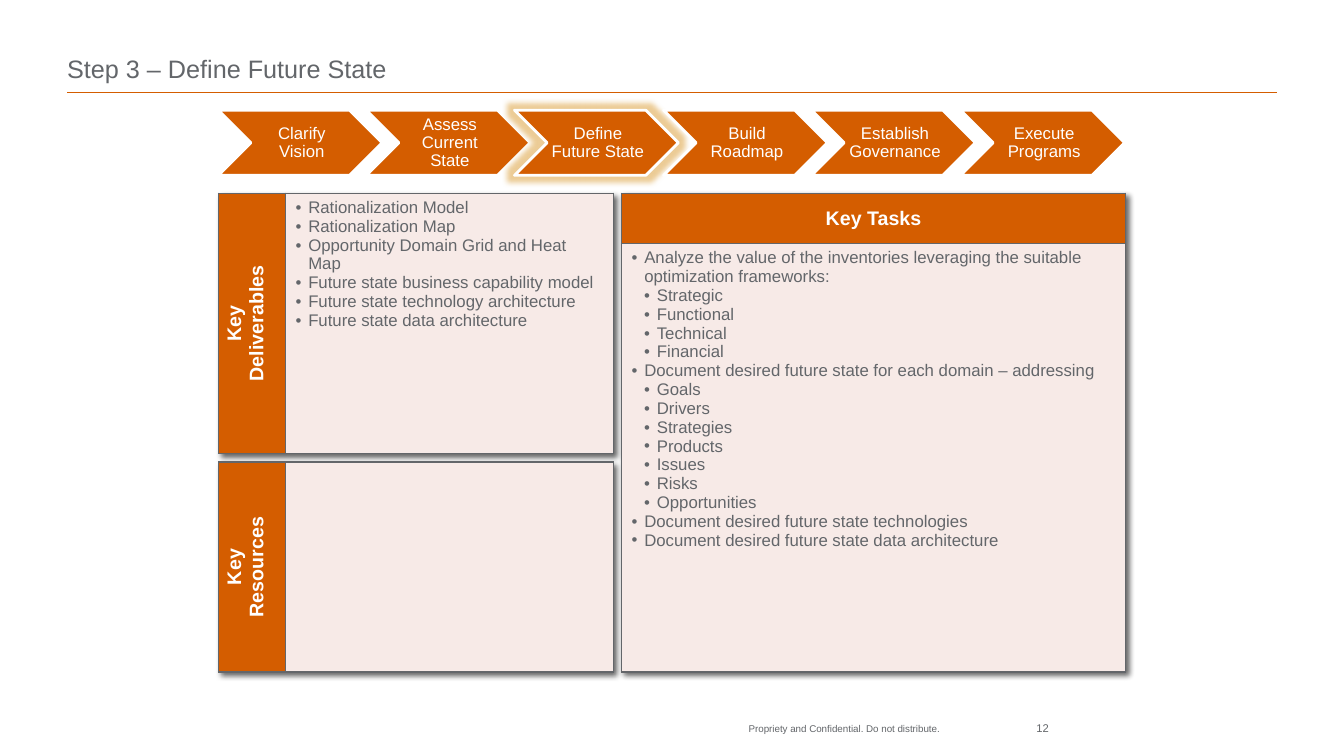
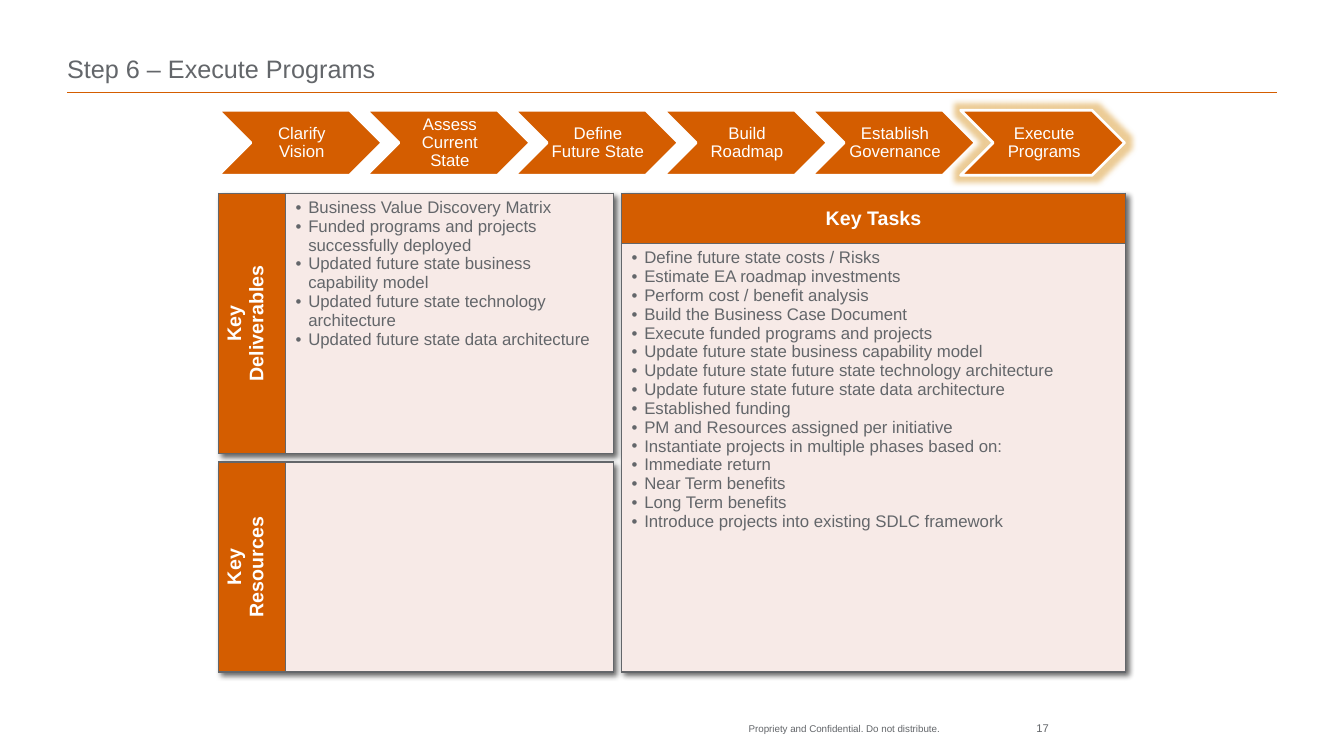
from dataclasses import dataclass

from lxml import etree
from pptx import Presentation
from pptx import util as u
from pptx.dml.color import RGBColor
from pptx.enum import shapes, text
from pptx.oxml import ns

SCALE = 9525
FONT = "Arial"
COLOURS = {
    "accent": "D45D00",
    "ink": "63666A",
    "panel": "F7EAE7",
    "white": "FFFFFF",
    "glow": "E0AA50",
    "shadow": "000000",
}
STAGES = (
    "Clarify Vision",
    "Assess Current State",
    "Define Future State",
    "Build Roadmap",
    "Establish Governance",
    "Execute Programs",
)
STAGES_LEFT, STAGES_TOP, STAGES_SPAN = 208, 105, 707
STAGE_WIDTH, STAGE_HEIGHT = 156, 62


@dataclass(frozen=True)
class Item:
    text: str
    level: int = 0


@dataclass(frozen=True)
class Step:
    number: int
    page_number: int
    deliverables: tuple[Item, ...]
    tasks: tuple[Item, ...]


@dataclass(frozen=True)
class Grid:
    left: int
    top: int
    columns: tuple[int, ...]
    rows: tuple[int, ...]


DELIVERABLES = Grid(208, 184, (64, 312), (248,))
RESOURCES = Grid(208, 440, (64, 312), (200,))
TASKS = Grid(592, 184, (480,), (48, 408))


def items(*lines: str, level: int = 0) -> tuple[Item, ...]:
    return tuple(Item(line, level) for line in lines)


STEPS = (
    Step(
        3,
        12,
        items(
            "Rationalization Model",
            "Rationalization Map",
            "Opportunity Domain Grid and Heat Map",
            "Future state business capability model",
            "Future state technology architecture",
            "Future state data architecture",
        ),
        items(
            "Analyze the value of the inventories leveraging the suitable "
            "optimization frameworks:"
        )
        + items("Strategic", "Functional", "Technical", "Financial", level=1)
        + items("Document desired future state for each domain – addressing")
        + items(
            "Goals", "Drivers", "Strategies", "Products", "Issues", "Risks",
            "Opportunities", level=1,
        )
        + items(
            "Document desired future state technologies",
            "Document desired future state data architecture",
        ),
    ),
    Step(
        6,
        17,
        items(
            "Business Value Discovery Matrix",
            "Funded programs and projects successfully deployed",
            "Updated future state business capability model",
            "Updated future state technology architecture",
            "Updated future state data architecture",
        ),
        items(
            "Define future state costs / Risks",
            "Estimate EA roadmap investments",
            "Perform cost / benefit analysis",
            "Build the Business Case Document",
            "Execute funded programs and projects",
            "Update future state business capability model",
            "Update future state future state technology architecture",
            "Update future state future state data architecture",
            "Established funding",
            "PM and Resources assigned per initiative",
            "Instantiate projects in multiple phases based on:",
            "Immediate return",
            "Near Term benefits",
            "Long Term benefits",
            "Introduce projects into existing SDLC framework",
        ),
    ),
)


def px(length: int) -> int:
    return u.Emu(length * SCALE)


def rgb(name: str) -> RGBColor:
    return RGBColor.from_string(COLOURS[name])


def add_xml(parent, tag: str, **attributes):
    return etree.SubElement(parent, ns.qn(tag), attributes)


def add_colour(parent, name: str, alpha: int = 100) -> None:
    colour = add_xml(parent, "a:srgbClr", val=COLOURS[name])
    if alpha < 100:
        add_xml(colour, "a:alpha", val=str(alpha * 1000))


def style(frame, size: int, colour: str, align=text.PP_ALIGN.LEFT, bold=False) -> None:
    for para in frame.paragraphs:
        para.alignment = align
        for span in para.runs:
            span.font.name = FONT
            span.font.size = u.Pt(size)
            span.font.bold = bold
            span.font.color.rgb = rgb(colour)


def set_margins(frame, left: int = 0, top: int = 0, right: int = 0, bottom: int = 0) -> None:
    frame.margin_left, frame.margin_top = px(left), px(top)
    frame.margin_right, frame.margin_bottom = px(right), px(bottom)


def add_label(page, words: str, left: int, top: int, width: int, height: int,
              size: int, align=text.PP_ALIGN.LEFT, wrap=True):
    box = page.shapes.add_textbox(px(left), px(top), px(width), px(height))
    frame = box.text_frame
    frame.word_wrap = wrap
    set_margins(frame)
    frame.text = words
    style(frame, size, "ink", align)
    return box


def prepare_layout(layout) -> None:
    for holder in list(layout.placeholders):
        if holder.placeholder_format.type != shapes.PP_PLACEHOLDER.TITLE:
            holder.element.getparent().remove(holder.element)
            continue
        holder.left, holder.top = px(64), px(16)
        holder.width, holder.height = px(1152), px(64)
        holder.text_frame.vertical_anchor = text.MSO_ANCHOR.BOTTOM
        set_margins(holder.text_frame)


def add_shared_parts(page, layout) -> None:
    rule = page.shapes.add_connector(
        shapes.MSO_CONNECTOR.STRAIGHT, px(64), px(88), px(1216), px(88)
    )
    rule.line.color.rgb = rgb("accent")
    rule.line.width = u.Pt(1)
    add_xml(rule.element.spPr, "a:effectLst")
    footer = add_label(
        page, "Propriety and Confidential. Do not distribute.",
        713, 688, 267, 24, 7, wrap=False,
    )
    for part in (rule, footer):
        layout.shapes.element.append(part.element)


def add_stages(page, current: int) -> None:
    for index, name in enumerate(STAGES):
        left = STAGES_LEFT + STAGES_SPAN * index // (len(STAGES) - 1)
        chevron = page.shapes.add_shape(
            shapes.MSO_SHAPE.CHEVRON, px(left), px(STAGES_TOP),
            px(STAGE_WIDTH), px(STAGE_HEIGHT),
        )
        chevron.shadow.inherit = False
        chevron.fill.solid()
        chevron.fill.fore_color.rgb = rgb("accent")
        chevron.line.color.rgb = rgb("white")
        chevron.line.width = u.Pt(2)
        frame = chevron.text_frame
        frame.word_wrap = True
        frame.vertical_anchor = text.MSO_ANCHOR.MIDDLE
        set_margins(frame, left=3, top=2, bottom=2)
        frame.text = name
        frame.paragraphs[0].line_spacing = 0.9
        style(frame, 12, "white", text.PP_ALIGN.CENTER)
        if index + 1 == current:
            effects = chevron.element.spPr.find(ns.qn("a:effectLst"))
            add_colour(add_xml(effects, "a:glow", rad="101600"), "glow", 60)


def add_grid(page, grid: Grid):
    table = page.shapes.add_table(
        len(grid.rows), len(grid.columns), px(grid.left), px(grid.top),
        px(sum(grid.columns)), px(sum(grid.rows)),
    ).table
    table.first_row = table.horz_banding = False
    for column, width in zip(table.columns, grid.columns):
        column.width = px(width)
    for row, height in zip(table.rows, grid.rows):
        row.height = px(height)
    effects = etree.Element(ns.qn("a:effectLst"))
    shadow = add_xml(
        effects, "a:outerShdw", blurRad="50800", dist="38100",
        dir="2700000", algn="tl", rotWithShape="0",
    )
    add_colour(shadow, "shadow", 60)
    table._tbl.tblPr.insert(0, effects)
    for cell in table.iter_cells():
        cell.fill.solid()
        cell.fill.fore_color.rgb = rgb("panel")
        properties = cell._tc.get_or_add_tcPr()
        for position, side in enumerate("LRTB"):
            border = etree.Element(ns.qn(f"a:ln{side}"), w=str(u.Pt(1)))
            add_colour(add_xml(border, "a:solidFill"), "ink")
            properties.insert(position, border)
    return table


def fill_heading(cell, words: str, vertical=False) -> None:
    cell.fill.fore_color.rgb = rgb("accent")
    cell.vertical_anchor = text.MSO_ANCHOR.MIDDLE
    cell.text_frame.text = words
    style(cell.text_frame, 14, "white", text.PP_ALIGN.CENTER, bold=True)
    if vertical:
        cell._tc.get_or_add_tcPr().set("vert", "vert270")


def fill_list(cell, entries: tuple[Item, ...]) -> None:
    frame = cell.text_frame
    frame.text = "\n".join(entry.text for entry in entries)
    style(frame, 12, "ink")
    for para, entry in zip(frame.paragraphs, entries):
        para.level = entry.level
        properties = para._p.get_or_add_pPr()
        properties.set("marL", str(px(12 * (entry.level + 1))))
        properties.set("indent", str(px(-12)))
        add_xml(properties, "a:buFont", typeface=FONT)
        add_xml(properties, "a:buChar", char="•")


def add_step(page, step: Step) -> None:
    title = page.shapes.title.text_frame
    title.text = f"Step {step.number} – {STAGES[step.number - 1]}"
    style(title, 18, "ink")
    add_stages(page, step.number)
    add_label(page, str(step.page_number), 957, 687, 42, 16, 8, text.PP_ALIGN.RIGHT)
    deliverables = add_grid(page, DELIVERABLES)
    fill_heading(deliverables.cell(0, 0), "Key\nDeliverables", vertical=True)
    fill_list(deliverables.cell(0, 1), step.deliverables)
    resources = add_grid(page, RESOURCES)
    fill_heading(resources.cell(0, 0), "Key\nResources", vertical=True)
    tasks = add_grid(page, TASKS)
    fill_heading(tasks.cell(0, 0), "Key Tasks")
    fill_list(tasks.cell(1, 0), step.tasks)


def main() -> None:
    deck = Presentation()
    deck.slide_width, deck.slide_height = px(1280), px(720)
    layout = deck.slide_layouts[5]
    prepare_layout(layout)
    pages = [deck.slides.add_slide(layout) for _ in STEPS]
    add_shared_parts(pages[0], layout)
    for page, step in zip(pages, STEPS):
        add_step(page, step)
    deck.save("out.pptx")


if __name__ == "__main__":
    main()
